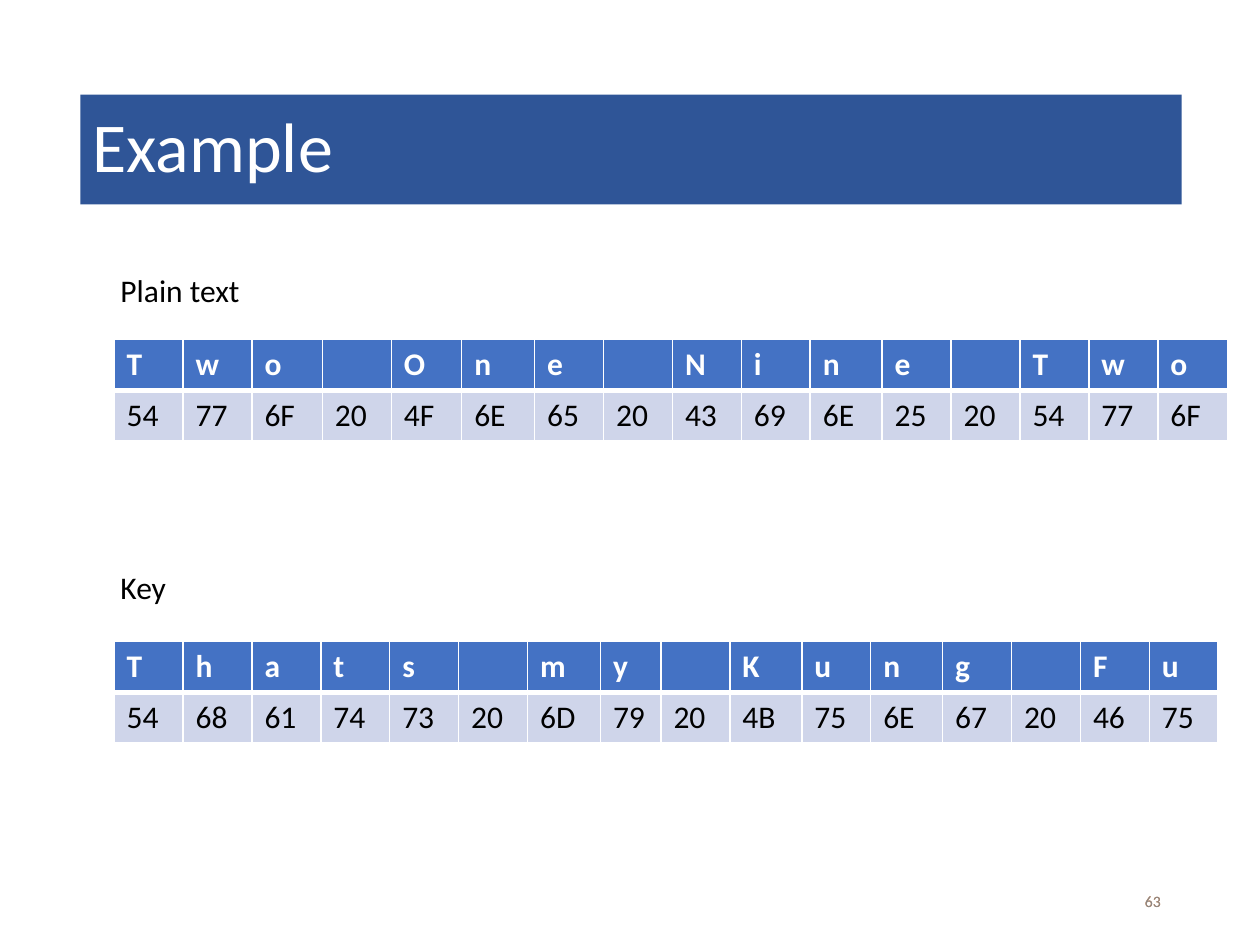
from lxml import etree
from pptx import Presentation
from pptx.dml.color import RGBColor
from pptx.enum.shapes import MSO_SHAPE
from pptx.enum.text import MSO_ANCHOR, PP_ALIGN
from pptx.oxml.ns import qn
from pptx.util import Cm, Pt

RECTANGLE = MSO_SHAPE.RECTANGLE
TOP, MIDDLE = MSO_ANCHOR.TOP, MSO_ANCHOR.MIDDLE
LEFT, RIGHT = PP_ALIGN.LEFT, PP_ALIGN.RIGHT

WHITE = RGBColor(0xFF, 0xFF, 0xFF)
BLACK = RGBColor(0, 0, 0)
NAVY = RGBColor(0x2F, 0x55, 0x97)
BLUE = RGBColor(0x44, 0x72, 0xC4)
PALE_BLUE = RGBColor(0xCF, 0xD5, 0xEA)
ORANGE = RGBColor(0xED, 0x7D, 0x31)
GRAY = RGBColor(0x89, 0x89, 0x89)

COLUMN_WIDTH = 1.39
ROW_HEIGHTS = (1.03, 1.02)


class SlideBuilder:
    font_name = "Calibri"

    def __init__(self, page):
        self.page = page

    def add_text(self, frame, text, size, color, bold=False, align=LEFT):
        para = frame.paragraphs[0]
        para.alignment = align
        span = para.add_run()
        span.text = text
        span.font.color.rgb = color
        style = {"name": self.font_name, "size": Pt(size), "bold": bold}
        for name, value in style.items():
            setattr(span.font, name, value)
        return para

    def banner(self, text, left, top, width, height):
        box = self.page.shapes.add_shape(
            RECTANGLE, Cm(left), Cm(top), Cm(width), Cm(height))
        box.shadow.inherit = False
        box.fill.solid()
        box.fill.fore_color.rgb = NAVY
        box.line.fill.background()
        box.text_frame.vertical_anchor = MIDDLE
        para = self.add_text(box.text_frame, text, 40, WHITE)
        para.line_spacing = 0.9

    def label(self, text, left, top, width, height, size=18, color=BLACK,
              anchor=TOP, align=LEFT):
        box = self.page.shapes.add_textbox(
            Cm(left), Cm(top), Cm(width), Cm(height))
        box.text_frame.word_wrap = True
        box.text_frame.vertical_anchor = anchor
        self.add_text(box.text_frame, text, size, color, align=align)

    def borders(self, cell, widths):
        properties = cell._tc.get_or_add_tcPr()
        for index, (side, points) in enumerate(widths.items()):
            line = etree.Element(qn(f"a:{side}"), w=str(Pt(points)))
            fill = etree.SubElement(line, qn("a:solidFill"))
            etree.SubElement(fill, qn("a:srgbClr"), val=str(WHITE))
            properties.insert(index, line)

    def byte_table(self, letters, codes, left, top, special_widths):
        widths = [special_widths.get(i, COLUMN_WIDTH) for i in range(len(letters))]
        table = self.page.shapes.add_table(
            2, len(letters), Cm(left), Cm(top),
            Cm(sum(widths)), Cm(sum(ROW_HEIGHTS))).table
        for column, width in zip(table.columns, widths):
            column.width = Cm(width)
        for row, height in zip(table.rows, ROW_HEIGHTS):
            row.height = Cm(height)

        # Header of letters above a row of hexadecimal codes
        rows = (
            (letters, BLUE, WHITE, True, {"lnL": 1, "lnR": 1, "lnT": 1, "lnB": 3}),
            (codes, PALE_BLUE, BLACK, False, {"lnL": 1, "lnR": 1, "lnT": 3, "lnB": 1}),
        )
        for row, (values, fill, color, bold, lines) in enumerate(rows):
            for column, value in enumerate(values):
                cell = table.cell(row, column)
                cell.fill.solid()
                cell.fill.fore_color.rgb = fill
                self.borders(cell, lines)
                if value.strip():
                    self.add_text(cell.text_frame, value, 18, color, bold)


def main():
    deck = Presentation()
    deck.slide_width, deck.slide_height = Cm(25.4), Cm(19.05)
    builder = SlideBuilder(deck.slides.add_slide(deck.slide_layouts[6]))

    # Title
    builder.banner("Example", 1.62, 1.91, 22.2, 2.21)

    # Plain text
    builder.label("Plain text", 2.18, 5.33, 2.95, 1.02)
    builder.byte_table(
        "Two One Nine Two",
        "54 77 6F 20 4F 6E 65 20 43 69 6E 25 20 54 77 6F".split(),
        2.3, 6.84, {2: 1.42, 4: 1.42, 5: 1.47, 10: 1.45, 15: 1.42})

    # Key
    builder.label("Key", 2.18, 11.33, 1.47, 1.02)
    builder.byte_table(
        "Thats my Kung Fu",
        "54 68 61 74 73 20 6D 79 20 4B 75 6E 67 20 46 75".split(),
        2.3, 12.93, {6: 1.47, 7: 1.22, 9: 1.45, 11: 1.45})

    # Page number, gray over orange
    for color in (ORANGE, GRAY):
        builder.label("63", 17.93, 17.65, 5.72, 1.02, 9, color, MIDDLE, RIGHT)

    deck.save("out.pptx")


if __name__ == "__main__":
    main()
